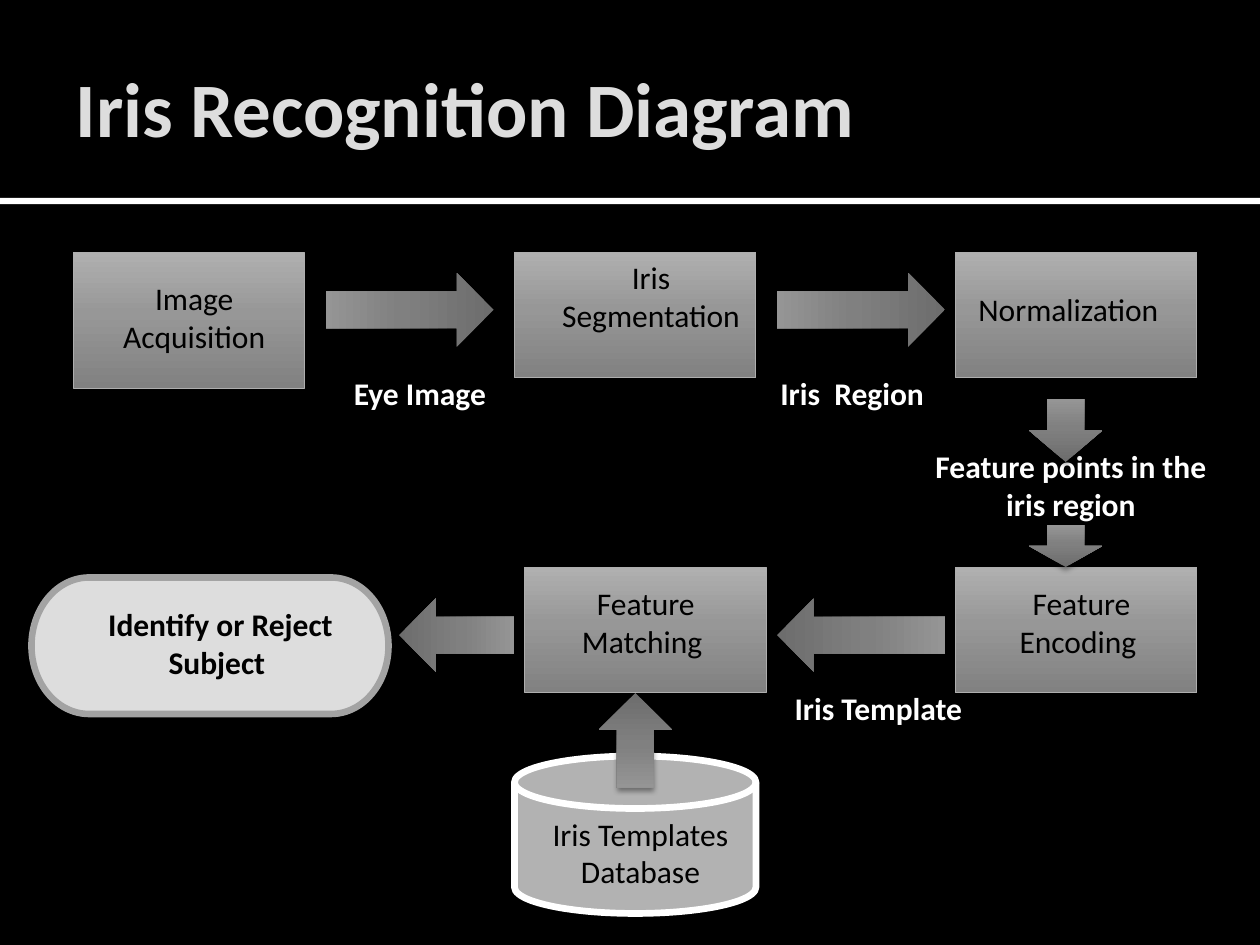
from copy import deepcopy

from lxml.etree import SubElement
from pptx import Presentation
from pptx.dml.color import RGBColor
from pptx.enum.shapes import MSO_SHAPE
from pptx.enum.text import MSO_ANCHOR, MSO_AUTO_SIZE, PP_ALIGN
from pptx.oxml.ns import qn
from pptx.util import Inches, Pt

BLACK = RGBColor(0x00, 0x00, 0x00)
WHITE = RGBColor(0xFF, 0xFF, 0xFF)
PALE = RGBColor(0xDD, 0xDD, 0xDD)
SILVER = RGBColor(0xB2, 0xB2, 0xB2)
BOX_EDGE = RGBColor(0xAE, 0xAE, 0xAE)
RESULT_EDGE = RGBColor(0xA3, 0xA3, 0xA3)
BOX_SHADES = (RGBColor(0x81, 0x81, 0x81), RGBColor(0x97, 0x97, 0x97), RGBColor(0xB0, 0xB0, 0xB0))
ARROW_SHADES = (RGBColor(0x6D, 0x6D, 0x6D), RGBColor(0x80, 0x80, 0x80), RGBColor(0x95, 0x95, 0x95))
SHADE_STOPS = (0, 0.55, 1)

# Turn of a down arrow, in degrees
DOWN, LEFT, UP, RIGHT = 0, 90, 180, 270


class DiagramSlide:
    """Slide on a grid of 120 columns by 90 rows, each cell 1/12 inch."""

    columns, rows = 120, 90
    font = "Calibri"
    text_size, title_size = 18, 44

    def __init__(self, deck):
        self.deck = deck
        self.page = deck.slides.add_slide(deck.slide_layouts[5])
        self.page.background.fill.solid()
        self.page.background.fill.fore_color.rgb = BLACK

    def place(self, column, row, width, height):
        across = self.deck.slide_width / self.columns
        down = self.deck.slide_height / self.rows
        return [round(n) for n in (column * across, row * down, width * across, height * down)]

    def add_span(self, para, text, size, color, bold):
        span = para.add_run()
        span.text = text
        span.font.name = self.font
        span.font.size = Pt(size)
        span.font.bold = bold
        span.font.color.rgb = color

    def title(self, text, *cells):
        box = self.page.shapes.title
        box.left, box.top, box.width, box.height = self.place(*cells)
        frame = box.text_frame
        frame.vertical_anchor = MSO_ANCHOR.MIDDLE
        frame.auto_size = MSO_AUTO_SIZE.NONE
        frame.margin_left = Inches(0.1)
        frame.margin_top = frame.margin_right = frame.margin_bottom = Inches(0.05)
        para = frame.paragraphs[0]
        para.alignment = PP_ALIGN.LEFT
        self.add_span(para, text, self.title_size, PALE, True)

    def label(self, text, *cells, color=BLACK, bold=False, align=PP_ALIGN.CENTER):
        frame = self.page.shapes.add_textbox(*self.place(*cells)).text_frame
        frame.word_wrap = True
        frame.auto_size = MSO_AUTO_SIZE.SHAPE_TO_FIT_TEXT
        para = frame.paragraphs[0]
        para.alignment = align
        self.add_span(para, text, self.text_size, color, bold)

    def shape(self, kind, *cells, fill, edge=None, edge_width=0.5, shadow=True):
        """Fill with one colour, or with a tuple of shades from bottom to top."""
        shape = self.page.shapes.add_shape(kind, *self.place(*cells))
        if isinstance(fill, RGBColor):
            shape.fill.solid()
            shape.fill.fore_color.rgb = fill
        else:
            self.shade(shape, fill)
        if edge is None:
            shape.line.fill.background()
        else:
            shape.line.color.rgb = edge
            shape.line.width = Pt(edge_width)
        shape.shadow.inherit = False
        if shadow:
            self.soft_shadow(shape)
        return shape

    def shade(self, shape, shades):
        shape.fill.gradient()
        shape.fill.gradient_angle = 90
        stop_list = shape._element.spPr.find(qn("a:gradFill")).find(qn("a:gsLst"))
        stop_list.append(deepcopy(stop_list[-1]))
        for stop, color, position in zip(shape.fill.gradient_stops, shades, SHADE_STOPS):
            stop.color.rgb = color
            stop.position = position

    def soft_shadow(self, shape):
        effects = shape._element.spPr.find(qn("a:effectLst"))
        outer = SubElement(effects, qn("a:outerShdw"), blurRad=str(Pt(3.1)), dist=str(Pt(2)),
                           dir="5400000", rotWithShape="0")
        color = SubElement(outer, qn("a:srgbClr"), val=str(BLACK))
        SubElement(color, qn("a:alpha"), val="38000")

    def step(self, column, row, width=23, height=12):
        self.shape(MSO_SHAPE.RECTANGLE, column, row, width, height, fill=BOX_SHADES, edge=BOX_EDGE)

    def arrow(self, center_column, center_row, length, turn):
        thickness = 7
        arrow = self.shape(MSO_SHAPE.DOWN_ARROW, center_column - thickness / 2,
                           center_row - length / 2, thickness, length, fill=ARROW_SHADES)
        arrow.rotation = turn


def main():
    deck = Presentation()
    deck.slide_width, deck.slide_height = Inches(10), Inches(7.5)
    slide = DiagramSlide(deck)

    slide.shape(MSO_SHAPE.RECTANGLE, 0, 18.84, 120, 0.6, fill=WHITE, shadow=False)
    slide.title("Iris Recognition Diagram", 6, 2, 108, 16.4)

    slide.step(7, 24, 22, 13)
    for column, row in ((49, 24), (91, 24), (50, 54), (91, 54)):
        slide.step(column, row)
    slide.shape(MSO_SHAPE.FLOWCHART_MAGNETIC_DISK, 49, 72, 23, 15,
                fill=SILVER, edge=WHITE, edge_width=3.82)
    slide.shape(MSO_SHAPE.FLOWCHART_TERMINATOR, 3, 55, 34, 13,
                fill=PALE, edge=RESULT_EDGE, edge_width=3.78, shadow=False)

    for text, *cells in (
        ("Image Acquisition", 9, 26, 19, 8.5),
        ("Iris Segmentation", 51, 24, 22, 8.5),
        ("Feature Encoding ", 93, 55, 20, 8.5),
        ("Feature Matching ", 52, 55, 19, 8.5),
        ("Iris Templates Database", 48, 77, 26, 8.5),
    ):
        slide.label(text, *cells)
    slide.label("Normalization", 92, 27, 21, 4.8, align=PP_ALIGN.LEFT)
    slide.label("Identify or Reject Subject ", 8, 57, 26, 8.5, bold=True)

    for text, *cells in (
        ("Eye Image", 31, 35, 18, 5),
        ("Iris  Region ", 73, 35, 17, 5),
        ("Feature points in the iris region", 87, 42, 30, 8.5),
        ("Iris Template ", 74, 65, 20, 4.8),
    ):
        slide.label(text, *cells, color=WHITE, bold=True)

    for center_column, center_row, length, turn in (
        (39, 29.5, 16, RIGHT),
        (82, 29.5, 16, RIGHT),
        (101.5, 41, 6, DOWN),
        (101.5, 52, 4, DOWN),
        (82, 60.5, 16, LEFT),
        (43.5, 60.5, 11, LEFT),
        (60.5, 70.5, 9, UP),
    ):
        slide.arrow(center_column, center_row, length, turn)

    deck.save("out.pptx")


if __name__ == "__main__":
    main()
